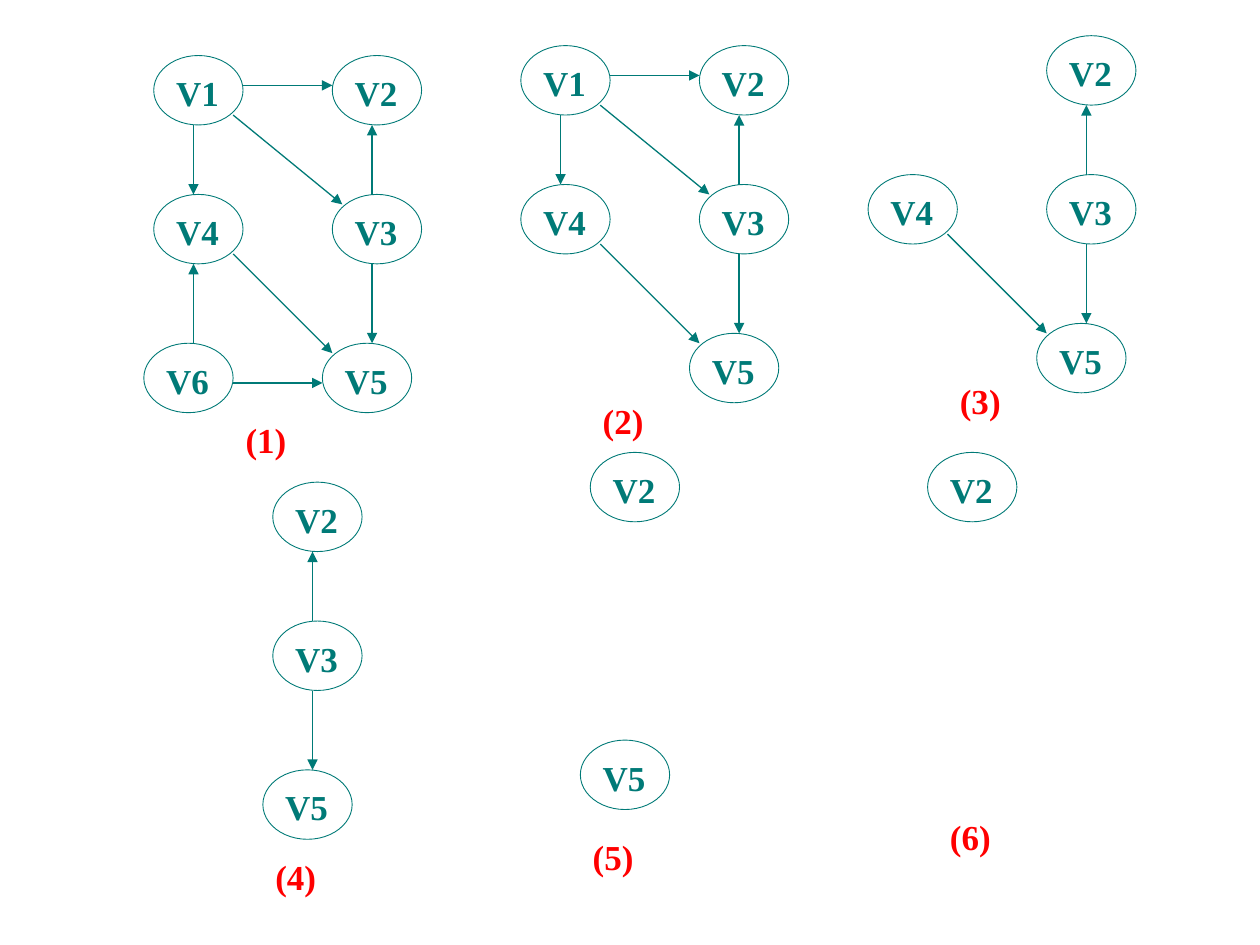
from pptx import Presentation
from pptx.dml.color import RGBColor
from pptx.enum.shapes import MSO_CONNECTOR, MSO_SHAPE
from pptx.enum.text import MSO_AUTO_SIZE
from pptx.oxml.ns import qn
from pptx.util import Cm, Inches, Pt
from lxml.etree import SubElement

TEAL = RGBColor(0x00, 0x7A, 0x77)
RED = RGBColor(0xFF, 0x00, 0x00)

CELL = Cm(0.2)
NODE_W, NODE_H = 9, 7
TEXT_H = 5.6

# Columns and rows from the corner of each graph
NODES = {"V1": (0, 0), "V2": (18, 0), "V4": (0, 14),
         "V3": (18, 14), "V6": (-1, 29), "V5": (17, 29)}
EDGES = {("V1", "V2"): (9, 3, 18, 3),
         ("V1", "V4"): (4, 7, 4, 14),
         ("V3", "V2"): (22, 14, 22, 7),
         ("V1", "V3"): (8, 6, 19, 15),
         ("V6", "V4"): (4, 29, 4, 21),
         ("V6", "V5"): (8, 33, 17, 33),
         ("V3", "V5"): (22, 21, 22, 29),
         ("V4", "V5"): (8, 20, 18, 30)}

# Corner on the slide grid, remaining vertices, place of the step number
STEPS = [((15.5, 5.6), "V1 V2 V4 V3 V6 V5", (8, 36)),
         ((52.5, 4.6), "V1 V2 V4 V3 V5", (7, 35)),
         ((87.5, 3.6), "V2 V4 V3 V5", (8, 34)),
         ((9.5, 48.6), "V2 V3 V5", (17, 37)),
         ((41.5, 45.6), "V2 V5", (17, 38)),
         ((75.5, 45.6), "V2", (19, 36))]


def cells(*counts):
    return [int(n * CELL) for n in counts]


def add_label(shapes, text, x, y, width, color):
    tf = shapes.add_textbox(*cells(x, y, width, TEXT_H)).text_frame
    tf.word_wrap = True
    tf.auto_size = MSO_AUTO_SIZE.SHAPE_TO_FIT_TEXT
    r = tf.paragraphs[0].add_run()
    r.text = text
    font = {"name": "Times New Roman", "size": Pt(20), "bold": True}
    for key, value in font.items():
        setattr(r.font, key, value)
    r.font.color.rgb = color


def add_node(shapes, name, x, y):
    sp = shapes.add_shape(MSO_SHAPE.OVAL, *cells(x, y, NODE_W, NODE_H))
    sp.shadow.inherit = False
    sp.fill.background()
    sp.line.color.rgb = TEAL
    sp.line.width = Pt(0.5)
    add_label(shapes, name, x + 1, y + 1, NODE_W - 2, TEAL)


def add_arrow(shapes, x1, y1, x2, y2):
    line = shapes.add_connector(MSO_CONNECTOR.STRAIGHT, *cells(x1, y1, x2, y2))
    line.line.color.rgb = TEAL
    line.line.width = Pt(0.75)
    SubElement(line.line._get_or_add_ln(), qn("a:tailEnd"), type="triangle")
    SubElement(line._element.spPr, qn("a:effectLst"))


def add_graph(s, corner, names, number, number_at):
    """Draw the vertices left at one step, the edges between them and its number."""
    left, top = corner
    shapes = s.shapes.add_group_shape().shapes
    for name in names:
        x, y = NODES[name]
        add_node(shapes, name, left + x, top + y)
    for ends, (x1, y1, x2, y2) in EDGES.items():
        if set(ends) <= set(names):
            add_arrow(shapes, left + x1, top + y1, left + x2, top + y2)
    x, y = number_at
    add_label(shapes, f"({number})", left + x, top + y, NODE_W, RED)


def main():
    prs = Presentation()
    prs.slide_width, prs.slide_height = Inches(10), Inches(7.5)
    s = prs.slides.add_slide(prs.slide_layouts[6])
    for number, (corner, names, number_at) in enumerate(STEPS, 1):
        add_graph(s, corner, names.split(), number, number_at)
    prs.save("out.pptx")


if __name__ == "__main__":
    main()
